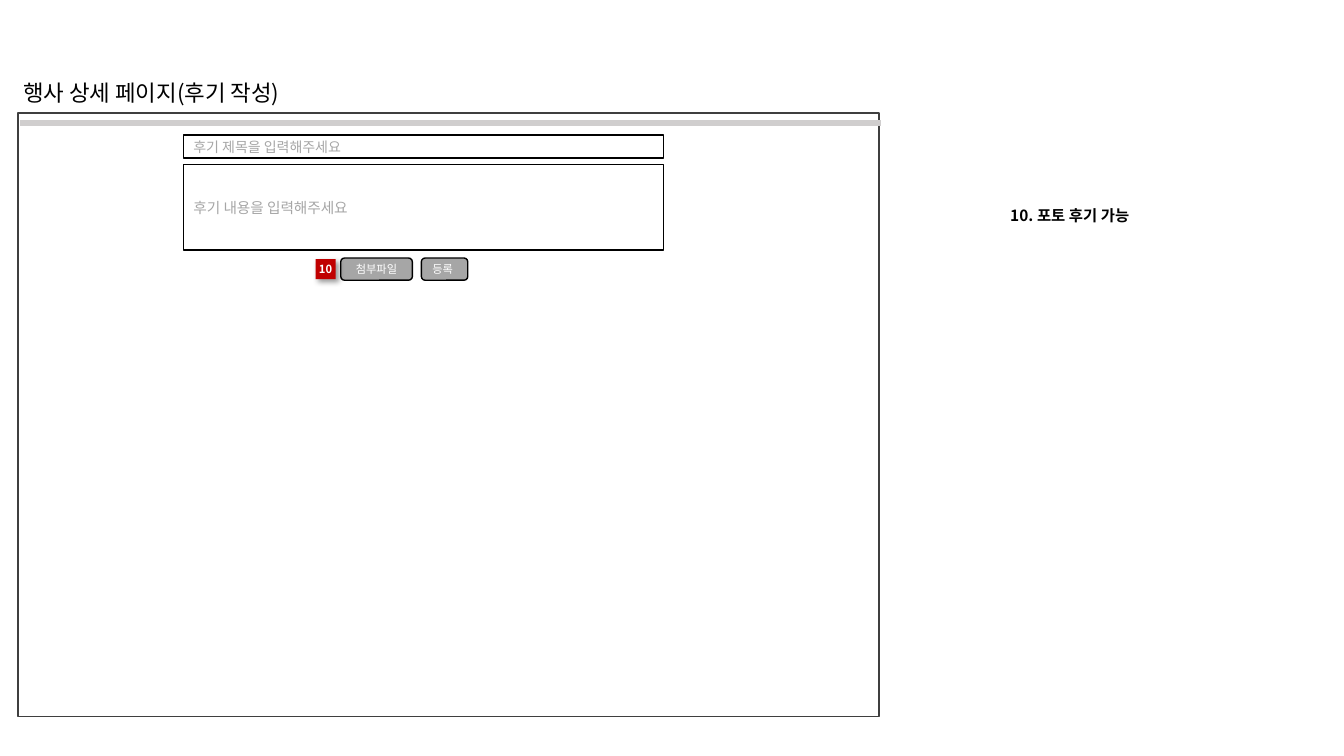
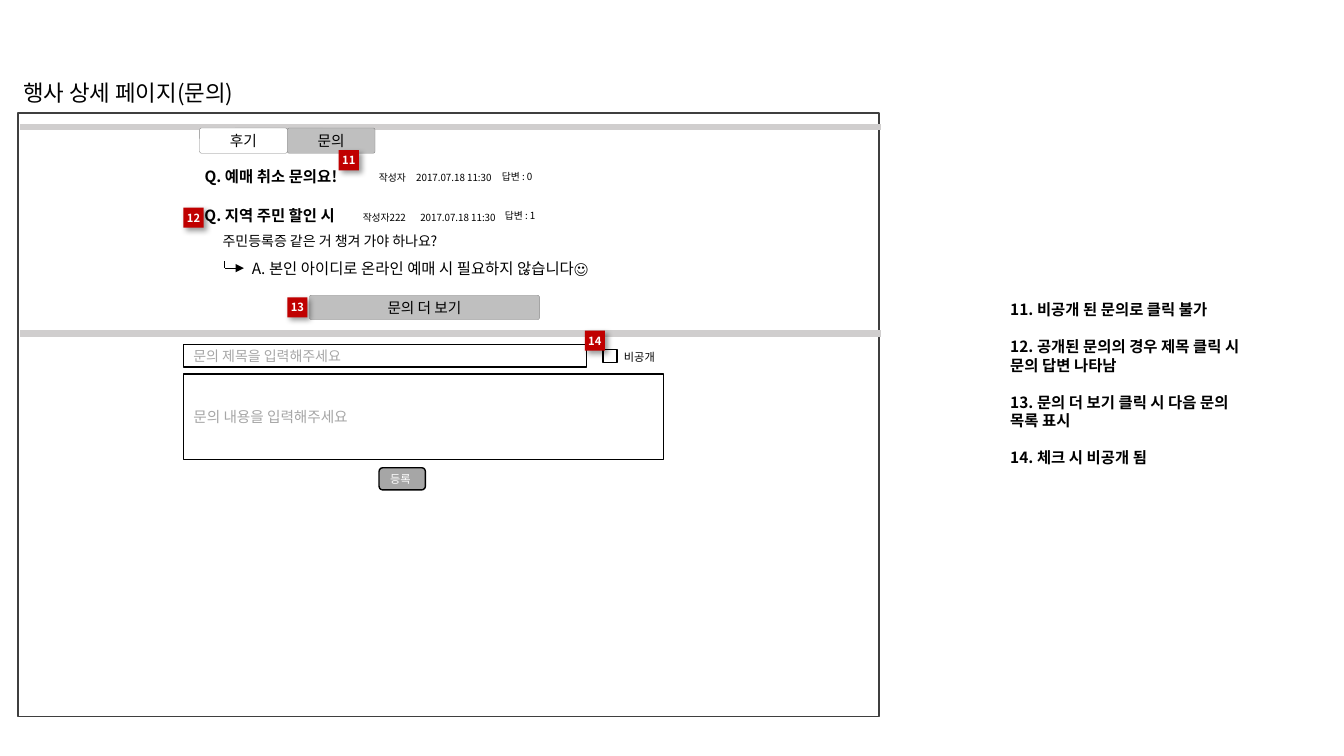
from lxml import etree
from pptx import Presentation
from pptx.dml.color import RGBColor
from pptx.enum.shapes import MSO_CONNECTOR, MSO_SHAPE
from pptx.enum.text import MSO_ANCHOR, MSO_AUTO_SIZE, PP_ALIGN
from pptx.oxml.ns import qn
from pptx.util import Pt

PX = 9144  # 100 px to the inch
FONT = "Noto Sans CJK KR"
LEFT, CENTER = PP_ALIGN.LEFT, PP_ALIGN.CENTER
RECT, ROUND = MSO_SHAPE.RECTANGLE, MSO_SHAPE.ROUNDED_RECTANGLE
STRAIGHT = MSO_CONNECTOR.STRAIGHT
COLORS = {
    "black": "000000", "white": "FFFFFF", "frame": "3F3F3F", "rule": "D0CECE",
    "hint": "A6A6A6", "tab": "BFBFBF", "tab_edge": "808080", "marker": "C00000",
}

# Looks of the wireframe parts
SHAPES = {  # preset, fill, line colour, line width, corner
    "frame": (RECT, "white", "frame", 1, None),
    "field": (RECT, None, "black", 1, None),
    "button": (ROUND, "hint", "black", 1, None),
    "tab": (ROUND, "white", "tab_edge", 0.25, 0.075),
    "active_tab": (ROUND, "tab", "tab_edge", 0.25, 0.075),
    "marker": (RECT, "marker", None, 0, None),
}
TEXTS = {  # size, colour, bold, alignment, left inset
    "title": (16, "black", False, LEFT, 10),
    "heading": (11, "black", True, LEFT, 10),
    "answer": (11, "black", False, LEFT, 10),
    "question": (10, "black", False, LEFT, 10),
    "meta": (7, "black", False, LEFT, 10),
    "option": (8, "black", False, LEFT, 10),
    "subject_hint": (10, "hint", False, LEFT, 10),
    "body_hint": (10.5, "hint", False, LEFT, 10),
    "button": (8, "white", False, LEFT, 10),
    "wide_button": (8, "white", False, CENTER, 0),
    "tab": (10.5, "black", False, CENTER, 0),
    "marker": (8, "white", True, CENTER, 0),
    "note": (11, "black", True, LEFT, 0),
}

# Slide content: shape look, text look, (left, top, width, height), text
PAGES = [
    {
        "title": "행사 상세 페이지(후기 작성)",
        "rules": [122],
        "parts": [
            ("field", "body_hint", (182, 163, 476, 85), "후기 내용을 입력해주세요"),
            ("field", "subject_hint", (182, 134, 476, 23), "후기 제목을 입력해주세요"),
            ("button", "wide_button", (338, 256, 71, 22), "첨부파일"),
            ("button", "button", (418, 256, 46, 22), "등록"),
        ],
        "arrow": [],
        "markers": [(313, 257, "10")],
        "notes_box": (1002, 160, 297, 107),
        "notes": [["10. 포토 후기 가능"]],
    },
    {
        "title": "행사 상세 페이지(문의)",
        "rules": [126, 331],
        "parts": [
            ("tab", "tab", (198, 127, 87, 25), "후기"),
            ("active_tab", "tab", (285, 127, 87, 25), "문의"),
            (None, "heading", (193, 160, 165, 29), "Q. 예매 취소 문의요!"),
            (None, "meta", (366, 165, 50, 22), "작성자"),
            (None, "meta", (403, 165, 95, 22), "2017.07.18 11:30"),
            (None, "meta", (488, 164, 54, 22), "답변 : 0"),
            (None, "heading", (193, 199, 166, 29), "Q. 지역 주민 할인 시"),
            (None, "meta", (350, 205, 66, 22), "작성자222"),
            (None, "meta", (407, 205, 95, 22), "2017.07.18 11:30"),
            (None, "meta", (491, 203, 54, 22), "답변 : 1"),
            (None, "question", (211, 226, 262, 27), "주민등록증 같은 거 챙겨 가야 하나요?"),
            (None, "answer", (240, 252, 396, 29),
             "A. 본인 아이디로 온라인 예매 시 필요하지 않습니다☺"),
            ("active_tab", "tab", (307, 293, 228, 24), "문의 더 보기"),
            ("field", "body_hint", (182, 371, 476, 85), "문의 내용을 입력해주세요"),
            ("field", "subject_hint", (182, 342, 400, 22), "문의 제목을 입력해주세요"),
            ("button", "button", (376, 464, 46, 22), "등록"),
            ("field", None, (598, 347, 14, 13), None),
            (None, "option", (609, 342, 54, 24), "비공개"),
        ],
        "arrow": [(223, 259), (223, 266), (242, 266)],
        "markers": [(336, 149, "11"), (285, 295, "13"), (580, 328, "14"), (182, 206, "12")],
        "notes_box": (1002, 92, 297, 577),
        "notes": [
            ["11. 비공개 된 문의로 클릭 불가"],
            ["12. 공개된 문의의 경우 제목 클릭 시", "문의 답변 나타남"],
            ["13. 문의 더 보기 클릭 시 다음 문의", "목록 표시"],
            ["14. 체크 시 비공개 됨"],
        ],
    },
]


def write(frame, look, groups):
    """Fill a text frame; groups of lines are set one line height apart."""
    size, color, bold, align, inset = TEXTS[look]
    frame.word_wrap = True
    frame.auto_size = MSO_AUTO_SIZE.NONE
    frame.vertical_anchor = MSO_ANCHOR.MIDDLE
    frame.margin_left = inset * PX
    frame.margin_right = frame.margin_top = frame.margin_bottom = 0
    lines = [(line, i > 0 and j == 0) for i, group in enumerate(groups)
             for j, line in enumerate(group)]
    for number, (line, starts_group) in enumerate(lines):
        paragraph = frame.add_paragraph() if number else frame.paragraphs[0]
        paragraph.alignment = align
        if len(lines) > 1:
            paragraph.line_spacing = Pt(size * 1.2)
        if starts_group:
            paragraph.space_before = Pt(size * 1.2)
        run = paragraph.add_run()
        run.text = line
        run.font.size, run.font.bold, run.font.name = Pt(size), bold, FONT
        run.font.color.rgb = RGBColor.from_string(COLORS[color])
        east_asian = etree.SubElement(run.font._element, qn("a:ea"))
        east_asian.set("typeface", FONT)


def add_part(slide, shape_look, text_look, box, text):
    """Add one shape or plain label and return it."""
    place = [length * PX for length in box]
    if shape_look:
        preset, fill, line, width, corner = SHAPES[shape_look]
        part = slide.shapes.add_shape(preset, *place)
        part.shadow.inherit = False
        if corner:
            part.adjustments[0] = corner
        if fill:
            part.fill.solid()
            part.fill.fore_color.rgb = RGBColor.from_string(COLORS[fill])
        else:
            part.fill.background()
        if line:
            part.line.color.rgb = RGBColor.from_string(COLORS[line])
            part.line.width = Pt(width)
        else:
            part.line.fill.background()
    else:
        part = slide.shapes.add_textbox(*place)
    if text:
        write(part.text_frame, text_look, [[text]])
    return part


prs = Presentation()
prs.slide_width, prs.slide_height = 1333 * PX, 750 * PX

for page in PAGES:
    slide = prs.slides.add_slide(prs.slide_layouts[5])

    # Title and page frame
    title = slide.shapes.title
    title.left, title.top, title.width, title.height = 13 * PX, 73 * PX, 400 * PX, 37 * PX
    write(title.text_frame, "title", [[page["title"]]])
    add_part(slide, "frame", None, (18, 112, 854, 599), None)

    # Section rules and the answer arrow
    lines = [((20, y), (874, y), "rule", 4.5) for y in page["rules"]]
    corners = page["arrow"]
    lines += [(start, end, "black", 0.5) for start, end in zip(corners, corners[1:])]
    for start, end, color, width in lines:
        stroke = slide.shapes.add_connector(STRAIGHT, *[n * PX for n in start + end])
        stroke.line.color.rgb = RGBColor.from_string(COLORS[color])
        stroke.line.width = Pt(width)
        if corners and end == corners[-1]:
            head = etree.SubElement(stroke.line._get_or_add_ln(), qn("a:tailEnd"))
            head.set("type", "triangle")
        etree.SubElement(stroke._element.spPr, qn("a:effectLst"))

    # Wireframe parts
    for part in page["parts"]:
        add_part(slide, *part)

    # Numbered markers with a soft shadow
    for left, top, number in page["markers"]:
        marker = add_part(slide, "marker", "marker", (left, top, 20, 20), number)
        effects = marker._element.spPr.find(qn("a:effectLst"))
        shadow = etree.SubElement(effects, qn("a:outerShdw"), blurRad=str(Pt(4)),
                                  dist=str(Pt(3)), dir=str(45 * 60000), rotWithShape="0")
        tint = etree.SubElement(shadow, qn("a:srgbClr"), val=COLORS["black"])
        etree.SubElement(tint, qn("a:alpha"), val="40000")

    # Notes beside the frame
    notes = add_part(slide, None, None, page["notes_box"], None)
    write(notes.text_frame, "note", page["notes"])

prs.save("out.pptx")
